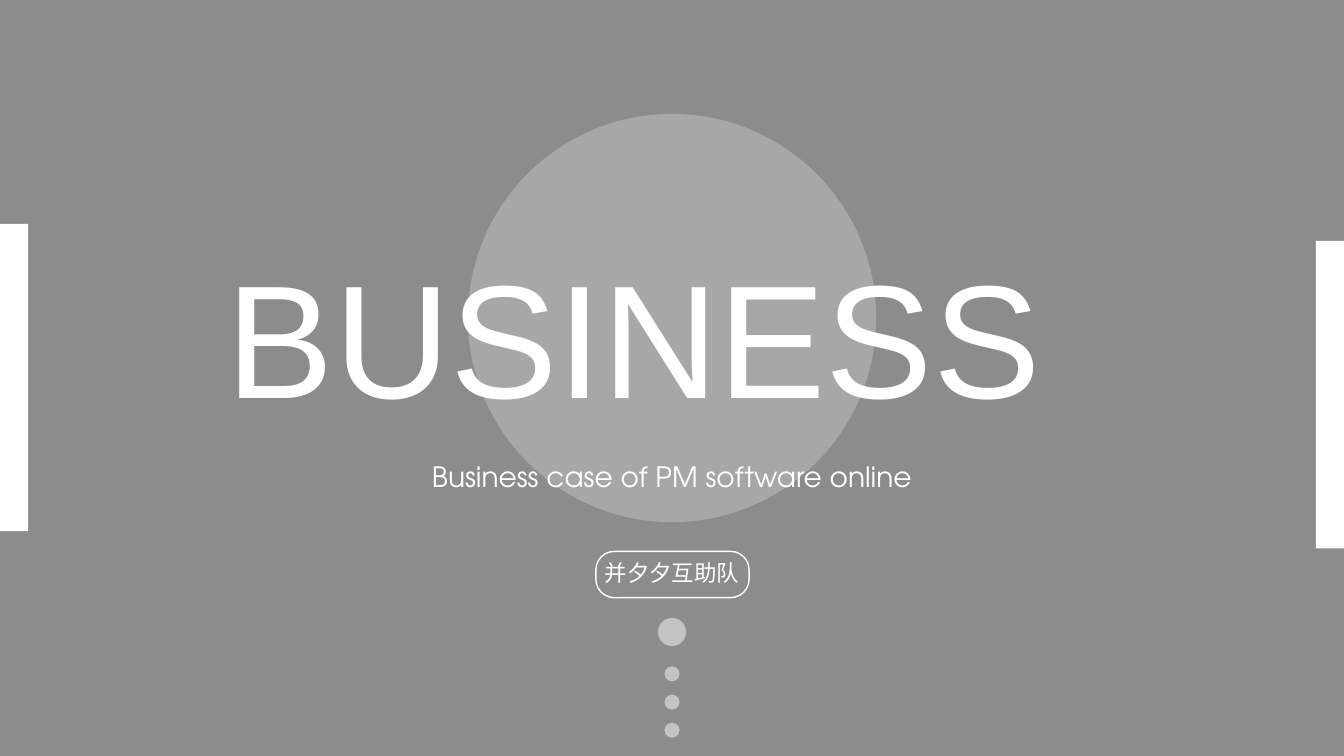
from dataclasses import dataclass

from pptx import Presentation
from pptx.dml.color import RGBColor
from pptx.enum.shapes import MSO_SHAPE
from pptx.enum.text import MSO_ANCHOR, MSO_AUTO_SIZE, PP_ALIGN
from pptx.oxml.ns import qn
from pptx.util import Inches, Pt
from lxml.etree import SubElement

SLIDE_WIDTH, SLIDE_HEIGHT = 13.33, 7.5
CENTER = SLIDE_WIDTH / 2


@dataclass(frozen=True)
class Theme:
    white: RGBColor = RGBColor(0xFF, 0xFF, 0xFF)
    veil: RGBColor = RGBColor(0x00, 0x00, 0x00)
    display_font: str = "Arial"
    text_font: str = "TeX Gyre Adventor"
    title_size: int = 115
    subtitle_size: int = 20
    label_size: int = 16


class CoverSlide:
    def __init__(self, presentation, theme):
        self.theme = theme
        self.slide = presentation.slides.add_slide(presentation.slide_layouts[0])
        self.shapes = self.slide.shapes

    def add_filled(self, kind, left, top, width, height, color, opacity=100):
        """Add a borderless shape; opacity is a percentage."""
        shape = self.shapes.add_shape(
            kind, Inches(left), Inches(top), Inches(width), Inches(height))
        shape.shadow.inherit = False
        shape.line.fill.background()
        shape.fill.solid()
        shape.fill.fore_color.rgb = color
        if opacity < 100:
            color_element = shape._element.spPr.find(qn("a:solidFill"))[0]
            SubElement(color_element, qn("a:alpha")).set("val", str(opacity * 1000))

    def add_centered_circle(self, top, diameter, opacity):
        self.add_filled(MSO_SHAPE.OVAL, CENTER - diameter / 2, top,
                        diameter, diameter, self.theme.white, opacity)

    def add_pill_outline(self, left, top, width, height):
        shape = self.shapes.add_shape(
            MSO_SHAPE.ROUNDED_RECTANGLE,
            Inches(left), Inches(top), Inches(width), Inches(height))
        shape.shadow.inherit = False
        shape.adjustments[0] = 0.4
        shape.fill.background()
        shape.line.color.rgb = self.theme.white
        shape.line.width = Pt(1)

    def place_placeholder(self, placeholder, left, top, width, height):
        """Position a placeholder and bring it in front of the shapes so far."""
        placeholder.left, placeholder.top = Inches(left), Inches(top)
        placeholder.width, placeholder.height = Inches(width), Inches(height)
        self.shapes._spTree.append(placeholder._element)

    def set_text(self, shape, text, font_name, size, alignment, line_spacing=1.0):
        frame = shape.text_frame
        frame.text = text
        frame.word_wrap = True
        frame.auto_size = MSO_AUTO_SIZE.NONE
        frame.vertical_anchor = MSO_ANCHOR.TOP
        paragraph = frame.paragraphs[0]
        paragraph.alignment = alignment
        paragraph.line_spacing = line_spacing
        paragraph.space_before = Pt(0)
        font = paragraph.runs[0].font
        font.name = font_name
        font.size = Pt(size)
        font.color.rgb = self.theme.white

    def add_title(self, text, *box):
        title = self.shapes.title
        self.place_placeholder(title, *box)
        self.set_text(title, text, self.theme.display_font,
                      self.theme.title_size, PP_ALIGN.JUSTIFY)

    def add_subtitle(self, text, *box):
        subtitle = self.slide.placeholders[1]
        self.place_placeholder(subtitle, *box)
        self.set_text(subtitle, text, self.theme.text_font,
                      self.theme.subtitle_size, PP_ALIGN.CENTER, line_spacing=2.0)

    def add_label(self, text, left, top, width, height):
        label = self.shapes.add_textbox(
            Inches(left), Inches(top), Inches(width), Inches(height))
        self.set_text(label, text, self.theme.text_font,
                      self.theme.label_size, PP_ALIGN.CENTER)


def main():
    presentation = Presentation()
    presentation.slide_width = Inches(SLIDE_WIDTH)
    presentation.slide_height = Inches(SLIDE_HEIGHT)
    theme = Theme()
    cover = CoverSlide(presentation, theme)

    cover.add_filled(MSO_SHAPE.RECTANGLE, 0, 0, SLIDE_WIDTH, SLIDE_HEIGHT,
                     theme.veil, opacity=45)

    cover.add_centered_circle(6.13, 0.28, opacity=48)
    for index in range(3):
        cover.add_centered_circle(6.61 + index * 0.28, 0.15, opacity=48)
    cover.add_centered_circle(1.13, 4.05, opacity=24)

    cover.add_title("BUSINESS", 2.15, 2.31, 9.03, 2.04)

    bar_width = 0.28
    for left, top in ((0, 2.22), (SLIDE_WIDTH - bar_width, 2.39)):
        cover.add_filled(MSO_SHAPE.RECTANGLE, left, top, bar_width, 3.05, theme.white)

    cover.add_subtitle("Business case of PM software online", 2.63, 4.17, 8.07, 0.67)
    cover.add_pill_outline(5.91, 5.47, 1.52, 0.46)
    cover.add_label("并夕夕互助队", 5.74, 5.5, 1.85, 0.37)

    presentation.save("out.pptx")


if __name__ == "__main__":
    main()
